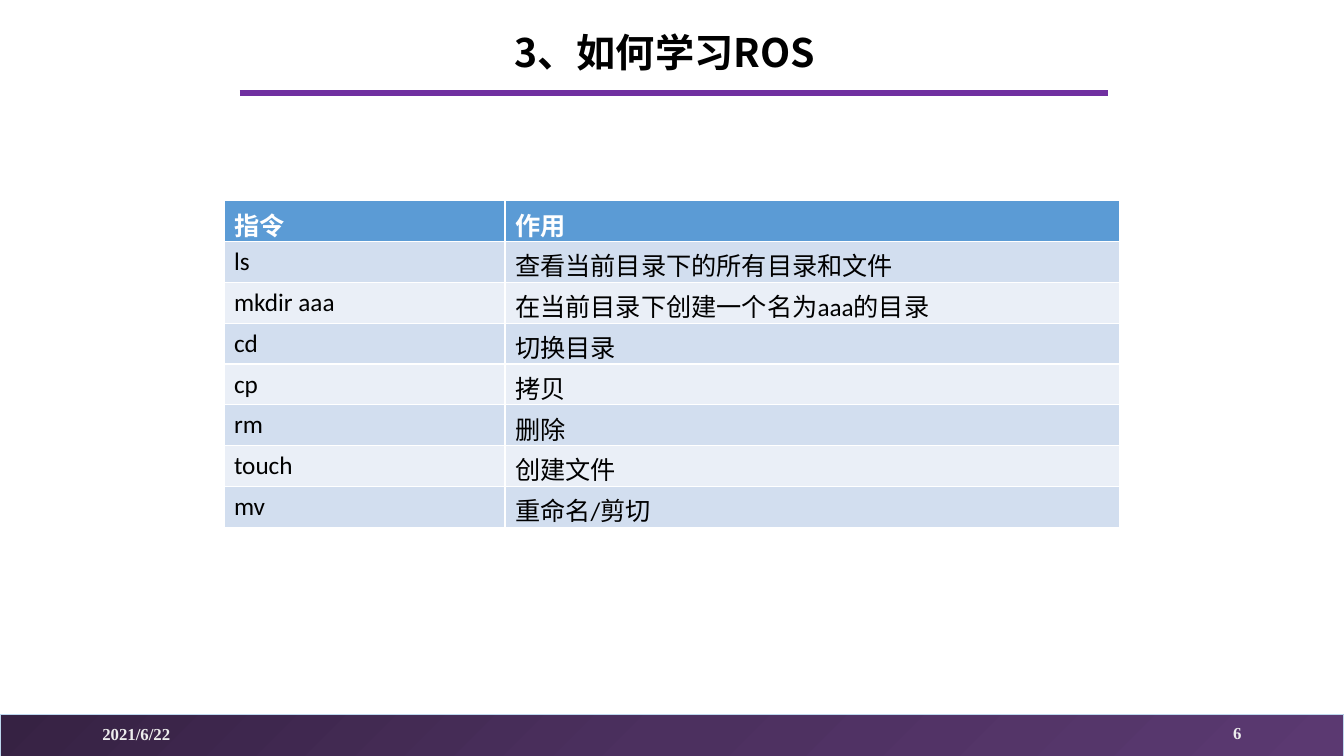
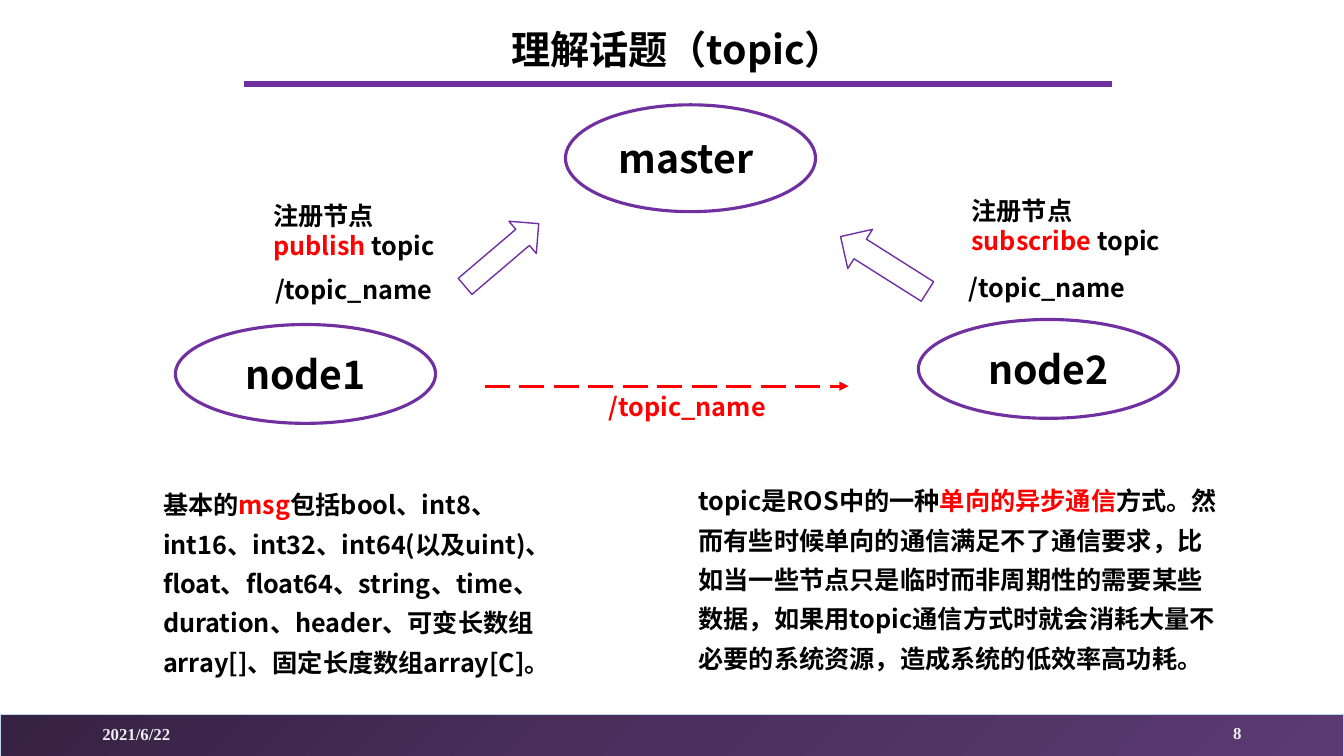
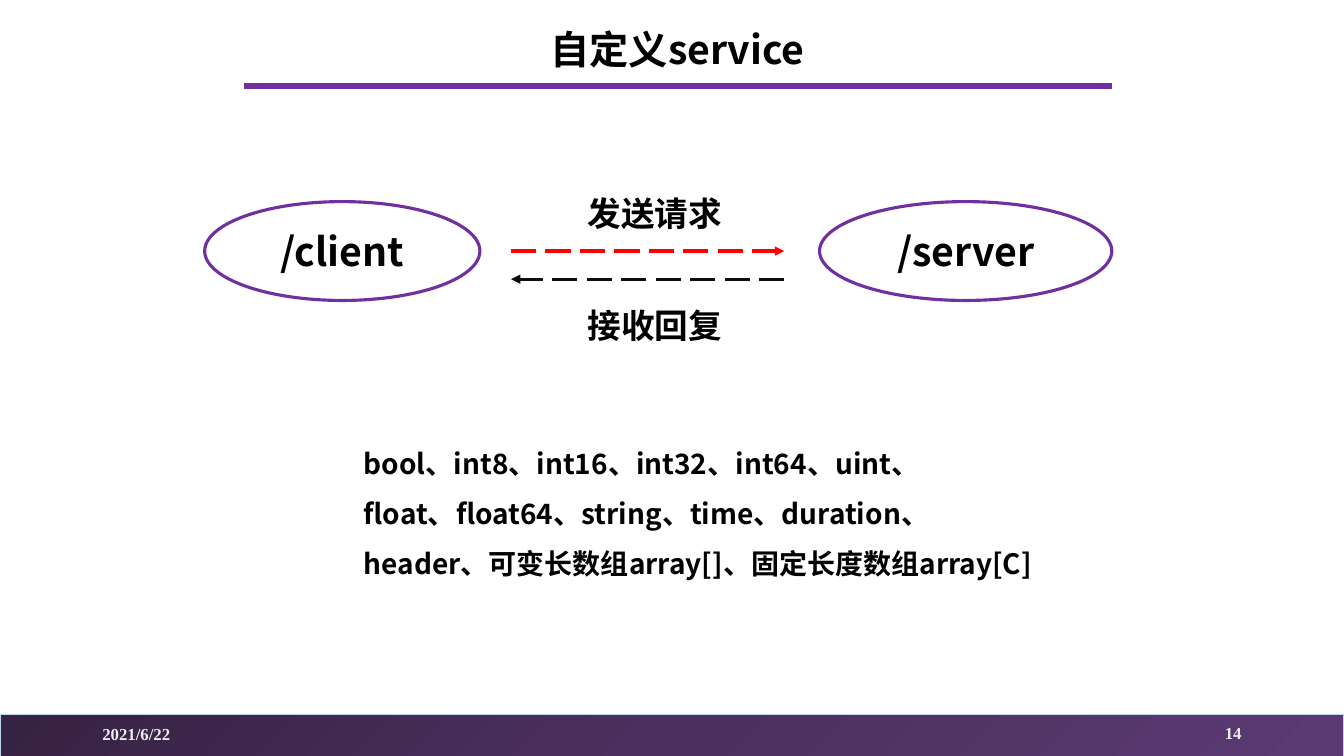
from dataclasses import dataclass

from lxml.etree import SubElement as Sub
from pptx import Presentation
from pptx.dml.color import RGBColor as Rgb
from pptx.enum.dml import MSO_LINE as Dash
from pptx.enum.shapes import MSO_CONNECTOR as Link, MSO_SHAPE as Kind
from pptx.enum.text import MSO_ANCHOR as Anchor, MSO_AUTO_SIZE as Fit, PP_ALIGN as Align
from pptx.oxml.ns import qn
from pptx.util import Pt


@dataclass(frozen=True)
class Theme:
    black: str = "000000"
    white: str = "FFFFFF"
    red: str = "FF0000"
    dark: str = "0D0D0D"
    purple: str = "7030A0"
    pale: str = "EDEDED"
    edge: str = "BDD7EE"
    head: str = "5B9BD5"
    rows: tuple = ("D2DEEF", "EAEFF7")
    band: tuple = ((0, "362243"), (50, "4C305F"), (100, "5B3971"))
    sans: str = "Noto Sans CJK SC"
    label: str = "Noto Sans CJK JP"
    serif: str = "Times New Roman"
    cell: str = "Calibri"
    big: int = 28
    mid: int = 24
    list: int = 20
    body: int = 18
    foot: int = 12


T = Theme()
WIDE, HIGH = 960, 540
DATE = "2021/6/22"


def points(*vals):
    return [Pt(val) for val in vals]


def style(para, size=T.body, color=T.black, face=T.sans, bold=True, asian=None):
    font = para.font
    font.size, font.bold = Pt(size), bold
    font.color.rgb = Rgb.from_string(color)
    font.name = face
    Sub(font._rPr, qn("a:ea"), typeface=asian or face)


def write(frame, lines, align=Align.LEFT, space=None, **look):
    """Fill a text frame; parts between bars in a line are red."""
    for num, line in enumerate(lines):
        para = frame.add_paragraph() if num else frame.paragraphs[0]
        para.alignment = align
        if space:
            para.line_spacing = space
        style(para, **look)
        for spot, part in enumerate(line.split("|")):
            if part:
                run = para.add_run()
                run.text = part
                if spot % 2:
                    run.font.color.rgb = Rgb.from_string(T.red)


def add_text(slide, box, *lines, wrap=False, fit=Fit.SHAPE_TO_FIT_TEXT,
             anchor=Anchor.TOP, **look):
    frame = slide.shapes.add_textbox(*points(*box)).text_frame
    frame.word_wrap, frame.auto_size = wrap, fit
    frame.vertical_anchor = anchor
    write(frame, lines, **look)


def add_form(slide, kind, box, line=T.purple, width=1.0):
    form = slide.shapes.add_shape(kind, *points(*box))
    form.shadow.inherit = False
    form.fill.solid()
    form.fill.fore_color.rgb = Rgb.from_string(T.white)
    form.line.color.rgb = Rgb.from_string(line)
    form.line.width = Pt(width)
    return form


def add_node(slide, text, box):
    frame = add_form(slide, Kind.OVAL, box, width=2.25).text_frame
    frame.vertical_anchor = Anchor.MIDDLE
    write(frame, [text], align=Align.CENTER, size=T.big)


def add_arrow(slide, box, turn):
    add_form(slide, Kind.DOWN_ARROW, box).rotation = turn


def add_rule(slide, start, end, top, color=T.purple, width=4.5):
    rule = slide.shapes.add_connector(Link.STRAIGHT, *points(start, top, end, top))
    rule.line.color.rgb = Rgb.from_string(color)
    rule.line.width = Pt(width)
    Sub(rule._element.spPr, qn("a:effectLst"))
    return rule


def add_flow(slide, start, end, top, color=T.red):
    """Draw a dashed arrow."""
    flow = add_rule(slide, start, end, top, color, 2.25)
    flow.line.dash_style = Dash.LONG_DASH
    Sub(flow.line._get_or_add_ln(), qn("a:tailEnd"), type="triangle")


def add_band(slide):
    band = add_form(slide, Kind.RECTANGLE, (0, 510.2, WIDE, 30), T.edge, 0.75)
    band.fill.gradient()
    grad = band._element.spPr.find(qn("a:gradFill"))
    grad.clear()
    stops = Sub(grad, qn("a:gsLst"))
    for pos, color in T.band:
        stop = Sub(stops, qn("a:gs"), pos=str(pos * 1000))
        Sub(stop, qn("a:srgbClr"), val=color)
    ring = Sub(grad, qn("a:path"), path="circle")
    Sub(ring, qn("a:fillToRect"), r="100000", b="100000")


def add_slide(deck, title, number, left=244, top=14.4, start=174.2, rule=60):
    """Start a slide with its band, footer, title and title rule."""
    slide = deck.slides.add_slide(deck.slide_layouts[6])
    add_band(slide)
    foot = dict(wrap=True, fit=Fit.NONE, anchor=Anchor.MIDDLE,
                size=T.foot, color=T.pale, face=T.serif)
    add_text(slide, (66, 509.8, 216, 28.8), DATE, **foot)
    add_text(slide, (678, 509, 216, 28.8), number, align=Align.RIGHT, **foot)
    add_text(slide, (left, top, 480, 41), title, wrap=True,
             align=Align.CENTER, size=T.big)
    add_rule(slide, start, start + 620, rule)
    return slide


def add_grid(slide, left, top, widths, height, rows):
    grid = slide.shapes.add_table(
        len(rows), len(widths),
        *points(left, top, sum(widths), height * len(rows))).table
    for col, width in zip(grid.columns, widths):
        col.width = Pt(width)
    for num, row in enumerate(rows):
        grid.rows[num].height = Pt(height)
        fill = T.rows[(num - 1) % 2] if num else T.head
        for spot, text in enumerate(row):
            cell = grid.cell(num, spot)
            cell.fill.solid()
            cell.fill.fore_color.rgb = Rgb.from_string(fill)
            write(cell.text_frame, [text], face=T.cell, asian=T.sans,
                  color=T.black if num else T.white, bold=num == 0)


def show_shell(deck):
    slide = add_slide(deck, "3、如何学习ROS", "6", 234.7, 16.6, 171.4, 66.2)
    add_grid(slide, 160, 143.4, (200.8, 439.2), 29.16, [
        ("指令", "作用"),
        ("ls", "查看当前目录下的所有目录和文件"),
        ("mkdir aaa", "在当前目录下创建一个名为aaa的目录"),
        ("cd", "切换目录"),
        ("cp", "拷贝"),
        ("rm", "删除"),
        ("touch", "创建文件"),
        ("mv", "重命名/剪切"),
    ])


def show_topic(deck):
    slide = add_slide(deck, "理解话题（topic）", "8")
    add_node(slide, "node2", (656, 228.2, 185.8, 70.6))
    add_node(slide, "master ", (403.9, 74.9, 178.6, 76.3))
    add_node(slide, "node1", (125.3, 231.8, 185.8, 70.6))
    add_arrow(slide, (343.4, 147.6, 30.2, 69.1), 229.6)
    add_arrow(slide, (614.9, 151.9, 33.1, 73.4), 122.3)

    add_text(slide, (188, 139.7, 133.9, 51), "注册节点", "|publish| topic")
    add_text(slide, (686.9, 136.1, 153.4, 51), "注册节点", "|subscribe| topic")
    add_flow(slide, 346.3, 606.2, 275.8)
    for left, top, color in ((189.4, 192.2, T.black), (684.7, 190.8, T.black),
                             (427.7, 275.8, T.red)):
        add_text(slide, (left, top, 128.2, 29), "/topic_name", color=color)

    add_text(slide, (109.4, 339.8, 298, 147),
             "基本的|msg|包括bool、int8、int16、int32、int64(以及uint)、float、"
             "float64、string、time、duration、header、可变长数组array[]、"
             "固定长度数组array[C]。", wrap=True, space=1.3)
    add_text(slide, (491.8, 337, 385.2, 147),
             "topic是ROS中的一种|单向的异步通信|方式。然而有些时候单向的通信满足不了"
             "通信要求，比如当一些节点只是临时而非周期性的需要某些数据，如果用topic"
             "通信方式时就会消耗大量不必要的系统资源，造成系统的低效率高功耗。",
             wrap=True, space=1.3)


def show_service(deck):
    slide = add_slide(deck, "自定义service", "14", rule=61.2)
    add_node(slide, "/client", (146.2, 144, 196.6, 70.6))
    add_node(slide, "/server", (585.4, 144, 208.8, 70.6))
    add_flow(slide, 365, 560.2, 179.3)
    add_flow(slide, 560.2, 365, 199.4, T.dark)
    for text, top in (("发送请求", 133.9), ("接收回复", 214.6)):
        add_text(slide, (411.8, top, 112, 36), text, align=Align.CENTER,
                 size=T.mid, face=T.label)
    add_text(slide, (252.7, 303.1, 506.9, 116.6),
             "bool、int8、int16、int32、int64、uint、",
             "float、float64、string、time、duration、",
             "header、可变长数组array[]、固定长度数组array[C]",
             wrap=True, space=1.5, size=T.list)


def main():
    deck = Presentation()
    deck.slide_width, deck.slide_height = points(WIDE, HIGH)
    for show in (show_shell, show_topic, show_service):
        show(deck)
    deck.save("out.pptx")


if __name__ == "__main__":
    main()
